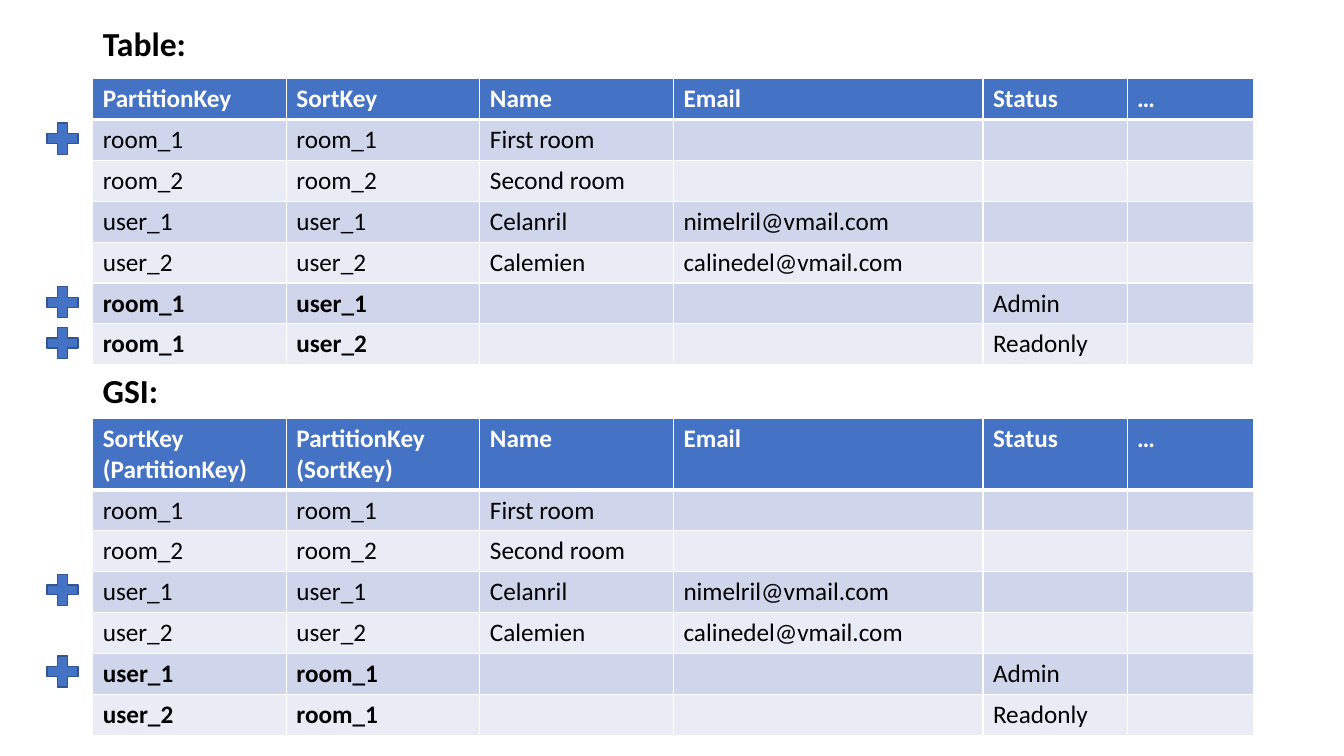
from dataclasses import dataclass

from lxml.etree import SubElement
from pptx import Presentation
from pptx.dml.color import RGBColor
from pptx.enum.shapes import MSO_SHAPE
from pptx.enum.text import MSO_ANCHOR, MSO_AUTO_SIZE, PP_ALIGN
from pptx.oxml.ns import qn
from pptx.util import Inches, Length, Pt

COLORS = {
    "header": "4472C4",
    "odd_row": "CFD5EA",
    "even_row": "E9EBF5",
    "plus_line": "325491",
    "white": "FFFFFF",
    "black": "000000",
}
FONT = "Calibri"
LEFT = Inches(0.92)
WIDTH = Inches(11.5)
HEADING_HEIGHT = Inches(0.9)
ROW_HEIGHT = Inches(2.84) // 7
COLUMN_WIDTHS = [Inches(w) for w in (1.92, 1.92, 1.92, 3.07, 1.43, 1.25)]
PLUS_LEFT = Inches(0.41)
PLUS_SIZE = Inches(0.42)
PLUS_RISE = Inches(0.02)

SHARED_HEADERS = ["Name", "Email", "Status", "…"]
ENTITIES = [
    ["room_1", "room_1", "First room", "", "", ""],
    ["room_2", "room_2", "Second room", "", "", ""],
    ["user_1", "user_1", "Celanril", "nimelril@vmail.com", "", ""],
    ["user_2", "user_2", "Calemien", "calinedel@vmail.com", "", ""],
]
MEMBERSHIPS = [("room_1", "user_1", "Admin"), ("room_1", "user_2", "Readonly")]


@dataclass
class KeyTable:
    top: Length
    header_height: Length
    key_headers: list[str]
    swap_keys: bool
    marked_rows: list[int]

    def rows(self) -> list[list[str]]:
        links = []
        for room, user, status in MEMBERSHIPS:
            keys = [user, room] if self.swap_keys else [room, user]
            links.append([*keys, "", "", status, ""])
        return [self.key_headers + SHARED_HEADERS, *ENTITIES, *links]


KEY_TABLES = [
    KeyTable(Inches(0.78), ROW_HEIGHT, ["PartitionKey", "SortKey"], False, [1, 5, 6]),
    KeyTable(Inches(4.15), Inches(0.7),
             ["SortKey (PartitionKey)", "PartitionKey (SortKey)"], True, [3, 5]),
]


def rgb(name: str) -> RGBColor:
    return RGBColor.from_string(COLORS[name])


def style_font(para, size: int, color: str, bold: bool) -> None:
    para.font.name = FONT
    para.font.size = Pt(size)
    para.font.bold = bold
    para.font.color.rgb = rgb(color)


def write_heading(box, top: Length, text: str) -> None:
    box.left, box.top, box.width, box.height = LEFT, top, WIDTH, HEADING_HEIGHT
    frame = box.text_frame
    frame.text = text
    frame.word_wrap = True
    frame.auto_size = MSO_AUTO_SIZE.NONE
    frame.vertical_anchor = MSO_ANCHOR.MIDDLE
    para = frame.paragraphs[0]
    para.alignment = PP_ALIGN.LEFT
    para.line_spacing = 0.9
    style_font(para, 24, "black", True)


def add_borders(cell, bottom_width: int) -> None:
    properties = cell._tc.get_or_add_tcPr()
    for side, width in (("L", 1), ("R", 1), ("T", 1), ("B", bottom_width)):
        line = SubElement(properties, qn(f"a:ln{side}"), w=str(Pt(width)))
        fill = SubElement(line, qn("a:solidFill"))
        SubElement(fill, qn("a:srgbClr"), val=COLORS["white"])


def draw_table(page, spec: KeyTable) -> None:
    rows = spec.rows()
    height = spec.header_height + ROW_HEIGHT * (len(rows) - 1)
    table = page.shapes.add_table(
        len(rows), len(COLUMN_WIDTHS), LEFT, spec.top, WIDTH, height).table
    for column, width in zip(table.columns, COLUMN_WIDTHS):
        column.width = width
    for index, values in enumerate(rows):
        is_header = index == 0
        is_link = index > len(ENTITIES)
        table.rows[index].height = spec.header_height if is_header else ROW_HEIGHT
        fill = "header" if is_header else "odd_row" if index % 2 else "even_row"
        for position, value in enumerate(values):
            cell = table.cell(index, position)
            cell.text = value
            bold = is_header or (is_link and position < 2)
            style_font(cell.text_frame.paragraphs[0], 18,
                       "white" if is_header else "black", bold)
            add_borders(cell, 3 if index == 0 else 1)
            cell.fill.solid()
            cell.fill.fore_color.rgb = rgb(fill)


def draw_plus_marks(page, spec: KeyTable) -> None:
    for row in spec.marked_rows:
        top = spec.top + spec.header_height + ROW_HEIGHT * (row - 1) - PLUS_RISE
        plus = page.shapes.add_shape(
            MSO_SHAPE.MATH_PLUS, PLUS_LEFT, top, PLUS_SIZE, PLUS_SIZE)
        plus.shadow.inherit = False
        plus.fill.solid()
        plus.fill.fore_color.rgb = rgb("header")
        plus.line.color.rgb = rgb("plus_line")
        plus.line.width = Pt(1)


deck = Presentation()
deck.slide_width = Inches(13.33)
deck.slide_height = Inches(7.5)
page = deck.slides.add_slide(deck.slide_layouts[5])

write_heading(page.shapes.title, Inches(0), "Table:")
index_heading = page.shapes.add_textbox(LEFT, Inches(3.44), WIDTH, HEADING_HEIGHT)
write_heading(index_heading, Inches(3.44), "GSI:")
for key_table in KEY_TABLES:
    draw_table(page, key_table)
    draw_plus_marks(page, key_table)

deck.save("out.pptx")
